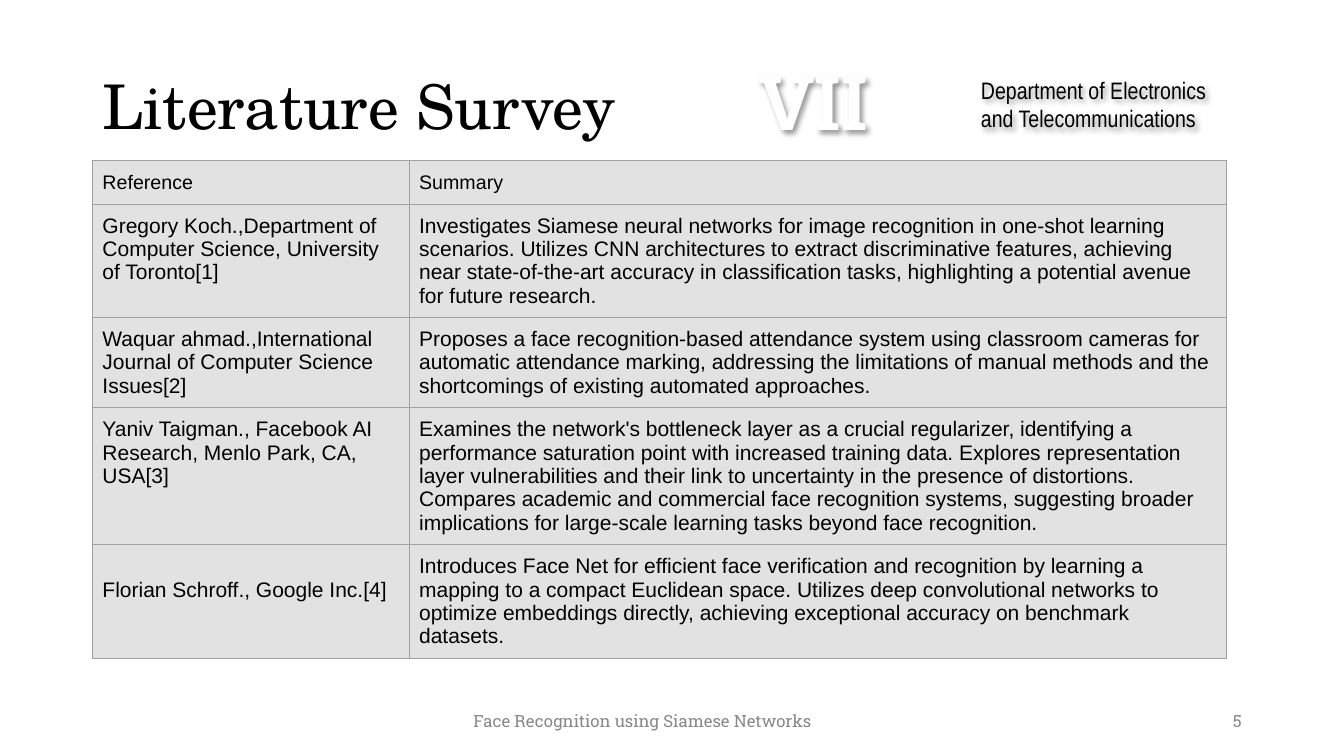
import pptx
import pptx.util
import pptx.dml.color
import pptx.enum.text
import pptx.oxml
import pptx.oxml.ns

THEME = {
    "black": "000000", "white": "FEFEFE", "grey": "888888",
    "cell": "E2E2E2", "border": "A1A1A1",
    "slab": "Roboto Slab", "schola": "TeX Gyre Schola",
    "narrow": "Arial Narrow", "body": "Arial",
    "title": 44, "badge": 54, "department": 17, "footer": 12,
    "header": 14, "entry": 15,
}
ALIGN = pptx.enum.text.PP_ALIGN
ANCHOR = pptx.enum.text.MSO_ANCHOR

deck = pptx.Presentation()
deck.slide_width = pptx.util.Inches(13.33)
deck.slide_height = pptx.util.Inches(7.5)
slide = deck.slides.add_slide(deck.slide_layouts[6])

# Grid of 160 columns by 90 rows
COL = deck.slide_width / 160
ROW = deck.slide_height / 90


def style(paragraph, font, size, color, bold=False):
    paragraph.font.name = THEME[font]
    paragraph.font.size = pptx.util.Pt(THEME[size])
    paragraph.font.color.rgb = pptx.dml.color.RGBColor.from_string(THEME[color])
    paragraph.font.bold = bold


def add_text(text, col, row, cols, rows, font, size, color, align=ALIGN.LEFT,
             anchor=ANCHOR.MIDDLE, bold=False):
    box = slide.shapes.add_textbox(int(col * COL), int(row * ROW),
                                   int(cols * COL), int(rows * ROW))
    frame = box.text_frame
    frame.word_wrap = True
    frame.vertical_anchor = anchor
    paragraph = frame.paragraphs[0]
    paragraph.text = text
    paragraph.alignment = align
    style(paragraph, font, size, color, bold)
    return box


# Institute and department, with soft shadows
institute = add_text("VIIT", 88, 6, 17.5, 12, "slab", "badge", "white",
                     ALIGN.CENTER, ANCHOR.TOP, True)
department = add_text("Department of Electronics and Telecommunications",
                      115.6, 8.4, 33.5, 8, "narrow", "department", "black",
                      anchor=ANCHOR.TOP)
for shaded in (institute, department):
    shaded._element.spPr.append(pptx.oxml.parse_xml(
        f'<a:effectLst {pptx.oxml.ns.nsdecls("a")}>'
        '<a:outerShdw blurRad="50800" dist="38100" dir="2700000" algn="tl">'
        '<a:srgbClr val="000000"><a:alpha val="40000"/></a:srgbClr>'
        '</a:outerShdw></a:effectLst>'))

# Title and footer
add_text("Literature Survey", 11, 5, 76, 15, "schola", "title", "black")
add_text("Face Recognition using Siamese Networks", 46, 83.4, 61, 4.8,
         "slab", "footer", "grey", ALIGN.CENTER)
add_text("5", 113, 83.4, 36, 4.8, "slab", "footer", "grey", ALIGN.RIGHT)

# Survey table: reference, summary, lines of text in the row
survey = [
    ("Reference", "Summary", 1),
    ("Gregory Koch.,Department of Computer Science, University of Toronto[1]",
     "Investigates Siamese neural networks for image recognition in one-shot "
     "learning scenarios. Utilizes CNN architectures to extract discriminative "
     "features, achieving near state-of-the-art accuracy in classification "
     "tasks, highlighting a potential avenue for future research.", 4),
    ("Waquar ahmad.,International Journal of Computer Science Issues[2]",
     "Proposes a face recognition-based attendance system using classroom "
     "cameras for automatic attendance marking, addressing the limitations of "
     "manual methods and the shortcomings of existing automated approaches.", 3),
    ("Yaniv Taigman., Facebook AI Research, Menlo Park, CA, USA[3]",
     "Examines the network's bottleneck layer as a crucial regularizer, "
     "identifying a performance saturation point with increased training data. "
     "Explores representation layer vulnerabilities and their link to "
     "uncertainty in the presence of distortions. Compares academic and "
     "commercial face recognition systems, suggesting broader implications for "
     "large-scale learning tasks beyond face recognition.", 5),
    ("Florian Schroff., Google Inc.[4]",
     "Introduces Face Net for efficient face verification and recognition by "
     "learning a mapping to a compact Euclidean space. Utilizes deep "
     "convolutional networks to optimize embeddings directly, achieving "
     "exceptional accuracy on benchmark datasets.", 4),
]
LINE = 2.78 * ROW
MARGIN = pptx.util.Inches(0.1)
heights = [int(2 * MARGIN + lines * LINE) for _, _, lines in survey]
widths = [int(37.7 * COL), int(97.3 * COL)]

table = slide.shapes.add_table(len(survey), 2, int(11 * COL), int(19.1 * ROW),
                               sum(widths), sum(heights)).table
for column, width in zip(table.columns, widths):
    column.width = width
for r, entry in enumerate(survey):
    table.rows[r].height = heights[r]
    for c, text in enumerate(entry[:2]):
        cell = table.cell(r, c)
        cell.margin_left = cell.margin_right = MARGIN
        cell.margin_top = cell.margin_bottom = MARGIN
        paragraph = cell.text_frame.paragraphs[0]
        paragraph.text = text
        paragraph.line_spacing = pptx.util.Emu(int(LINE))
        style(paragraph, "body", "entry" if r else "header", "black")
        for side in ("lnL", "lnR", "lnT", "lnB"):
            cell._tc.get_or_add_tcPr().append(pptx.oxml.parse_xml(
                f'<a:{side} {pptx.oxml.ns.nsdecls("a")} w="9525"><a:solidFill>'
                f'<a:srgbClr val="{THEME["border"]}"/></a:solidFill></a:{side}>'))
        cell.fill.solid()
        cell.fill.fore_color.rgb = pptx.dml.color.RGBColor.from_string(THEME["cell"])

# The last reference starts one line lower
table.cell(len(survey) - 1, 0).margin_top = int(MARGIN + LINE)

deck.save("out.pptx")
